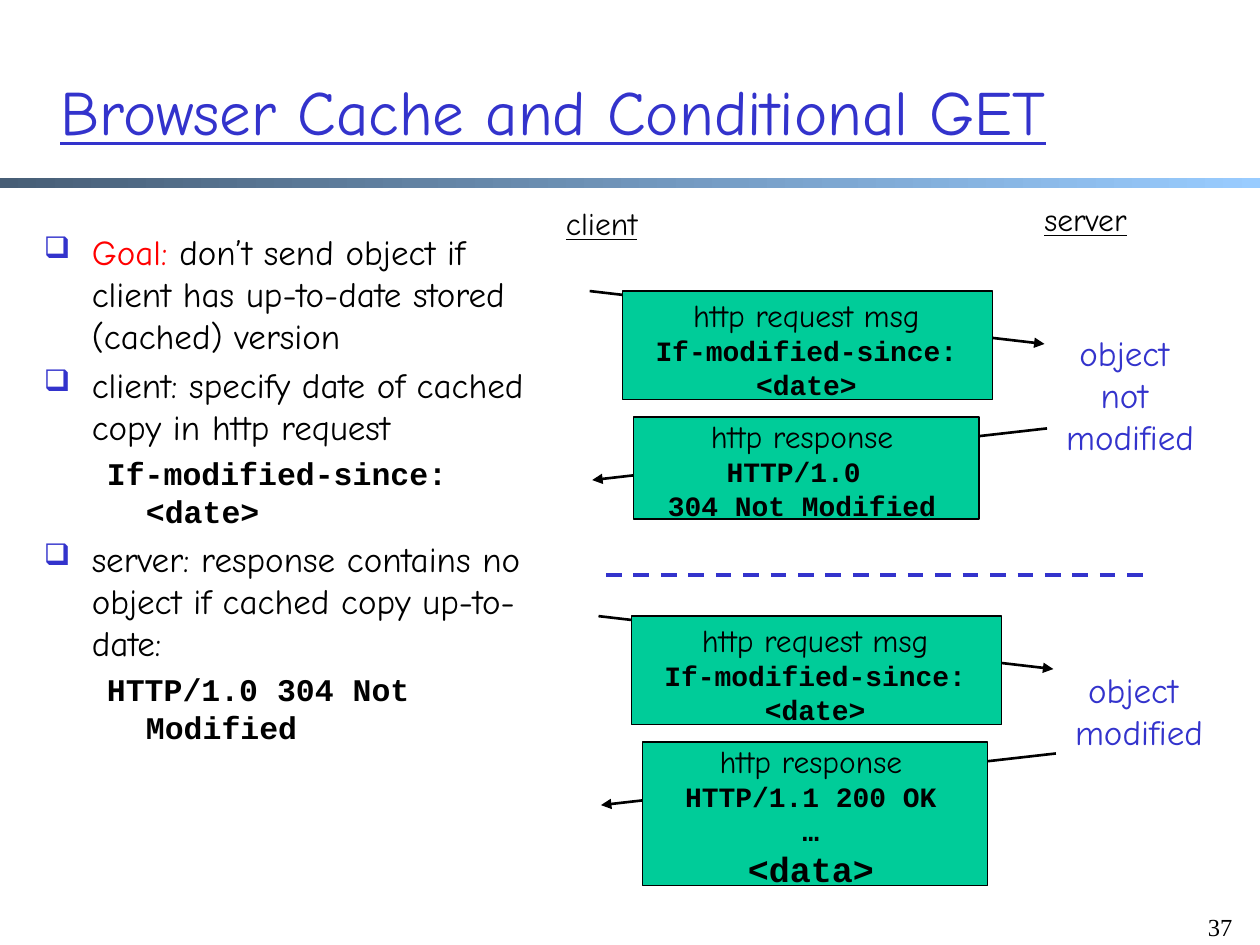
from lxml import etree
from pptx import Presentation
from pptx import util as u
from pptx.dml.color import RGBColor
from pptx.enum import dml, shapes, text
from pptx.oxml.ns import qn

BLACK, BLUE, RED, GREEN = "000000", "3333CC", "FF0000", "00CC99"
HAND, CODE, SERIF = "Comic Neue", "Courier New", "Times New Roman"
CENTER, LEFT, RIGHT = text.PP_ALIGN.CENTER, text.PP_ALIGN.LEFT, text.PP_ALIGN.RIGHT


def color(value):
    return RGBColor.from_string(value)


def add_run(paragraph, content, size=18, font=HAND, fill=BLACK, bold=False, underline=False):
    run = paragraph.add_run()
    run.text = content
    run.font.size = u.Pt(size)
    run.font.name = font
    run.font.bold = bold
    run.font.underline = underline
    run.font.color.rgb = color(fill)


def code(content, size=16):
    return content, dict(size=size, font=CODE, bold=True)


class SlideBuilder:
    def __init__(self, presentation):
        self.slide = presentation.slides.add_slide(presentation.slide_layouts[5])

    def fill_frame(self, frame, lines, align=CENTER):
        """Write one paragraph for each (text, format) pair."""
        for index, (content, style) in enumerate(lines):
            paragraph = frame.paragraphs[0] if index == 0 else frame.add_paragraph()
            paragraph.alignment = align
            add_run(paragraph, content, **style)

    def title(self, content, left, top, width, height):
        shape = self.slide.shapes.title
        shape.left, shape.top = u.Inches(left), u.Inches(top)
        shape.width, shape.height = u.Inches(width), u.Inches(height)
        frame = shape.text_frame
        frame.auto_size = text.MSO_AUTO_SIZE.NONE
        frame.vertical_anchor = text.MSO_ANCHOR.MIDDLE
        self.fill_frame(frame, [(content, dict(size=36, fill=BLUE, underline=True))], LEFT)

    def text_box(self, left, top, width, height, lines=(), align=CENTER, wrap=False):
        box = self.slide.shapes.add_textbox(*map(u.Inches, (left, top, width, height)))
        box.text_frame.word_wrap = wrap
        self.fill_frame(box.text_frame, lines, align)
        return box.text_frame

    def rectangle(self, left, top, width, height):
        shape = self.slide.shapes.add_shape(
            shapes.MSO_SHAPE.RECTANGLE, *map(u.Inches, (left, top, width, height)))
        shape.shadow.inherit = False
        return shape

    def gradient_bar(self, left, top, width, height, stops):
        shape = self.rectangle(left, top, width, height)
        shape.line.fill.background()
        shape.fill.gradient()
        shape.fill.gradient_angle = 0
        for stop, value in zip(shape.fill.gradient_stops, stops):
            stop.color.rgb = color(value)

    def message(self, left, top, width, height, lines, inset_top, inset_right=0.05):
        shape = self.rectangle(left, top, width, height)
        shape.fill.solid()
        shape.fill.fore_color.rgb = color(GREEN)
        shape.line.color.rgb = color(BLACK)
        shape.line.width = u.Pt(0.75)
        frame = shape.text_frame
        frame.word_wrap = True
        frame.vertical_anchor = text.MSO_ANCHOR.TOP
        frame.margin_top, frame.margin_bottom = u.Inches(inset_top), 0
        frame.margin_left, frame.margin_right = u.Inches(0.03), u.Inches(inset_right)
        self.fill_frame(frame, lines)

    def line(self, start, end, stroke=BLACK, width=1.5, dashed=False, arrow=True):
        connector = self.slide.shapes.add_connector(
            shapes.MSO_CONNECTOR.STRAIGHT, *map(u.Inches, (*start, *end)))
        connector.line.color.rgb = color(stroke)
        connector.line.width = u.Pt(width)
        if dashed:
            connector.line.dash_style = dml.MSO_LINE.DASH
        if arrow:
            line_xml = connector.line._get_or_add_ln()
            etree.SubElement(line_xml, qn("a:tailEnd"), type="triangle")
        etree.SubElement(connector._element.spPr, qn("a:effectLst"))

    def body_paragraph(self, frame, runs, first=False, bullet=True):
        paragraph = frame.paragraphs[0] if first else frame.add_paragraph()
        properties = paragraph._p.get_or_add_pPr()
        margin, indent = (0.38, -0.38) if bullet else (0.81, -0.31)
        properties.set("marL", str(u.Inches(margin)))
        properties.set("indent", str(u.Inches(indent)))
        if bullet:
            bullet_color = etree.SubElement(properties, qn("a:buClr"))
            etree.SubElement(bullet_color, qn("a:srgbClr"), val=BLUE)
            etree.SubElement(properties, qn("a:buSzPct"), val="85000")
            etree.SubElement(properties, qn("a:buChar"), char="❑")
        if not first:
            paragraph.space_before = u.Pt(4)
        for content, style in runs:
            add_run(paragraph, content, **style)

    def exchange(self, dx, dy, response, response_height):
        """Request and response with their arrows, moved by dx and dy."""
        request = [("http request msg", {}), code("If-modified-since: <date>")]
        self.line((4.68 + dx, 2.31 + dy), (8.29 + dx, 2.73 + dy))
        self.message(4.94 + dx, 2.31 + dy, 2.94, 0.86, request, inset_top=0.04)
        self.line((8.31 + dx, 3.4 + dy), (4.7 + dx, 3.81 + dy))
        self.message(5.03 + dx, 3.31 + dy, 2.74, response_height,
                     [("http response", {}), *response], inset_top=0, inset_right=0.1)


def main():
    presentation = Presentation()
    presentation.slide_width, presentation.slide_height = u.Inches(10), u.Inches(7.5)
    builder = SlideBuilder(presentation)

    # Heading and page number
    builder.gradient_bar(0, 1.41, 10, 0.08, ("475E76", "99CCFF"))
    builder.title("Browser Cache and Conditional GET", 0.38, 0.25, 9.02, 1.25)
    builder.text_box(9.38, 7.19, 0.5, 0.5, [("37", dict(size=14, font=SERIF))], RIGHT, wrap=True)

    # Explanation on the left
    body = builder.text_box(0.25, 1.78, 4.25, 4.67, align=LEFT, wrap=True)
    plain = dict(size=20)
    builder.body_paragraph(body, [
        ("Goal:", dict(size=20, fill=RED)),
        (" don’t send object if client has up-to-date stored (cached) version", plain),
    ], first=True)
    builder.body_paragraph(body, [("client: specify date of cached copy in http request", plain)])
    builder.body_paragraph(body, [code("If-modified-since: <date>", 18)], bullet=False)
    builder.body_paragraph(
        body, [("server: response contains no object if cached copy up-to-date:", plain)])
    builder.body_paragraph(body, [code("HTTP/1.0 304 Not Modified", 18)], bullet=False)

    # Column headings
    heading = dict(underline=True)
    builder.text_box(4.24, 1.57, 1.07, 0.5, [("client", heading)])
    builder.text_box(8.01, 1.54, 1.21, 0.5, [("server", heading)])

    # Two exchanges with a divider between them
    builder.exchange(0, 0, [code("HTTP/1.0 "), code("304 Not Modified")], 0.81)
    builder.line((4.81, 4.56), (9.08, 4.56), BLUE, 2.25, dashed=True, arrow=False)
    builder.exchange(0.07, 2.58,
                     [code("HTTP/1.1 200 OK"), code("…"), code("<data>", 20)], 1.14)

    # Outcome of each exchange
    outcome = dict(size=20, fill=BLUE)
    for left, top, height, words in (
        (8.3, 2.58, 1.1, ("object ", "not ", "modified")),
        (8.37, 5.26, 0.77, ("object ", "modified")),
    ):
        builder.text_box(left, top, 1.34, height, [(word, outcome) for word in words])

    presentation.save("out.pptx")


if __name__ == "__main__":
    main()
